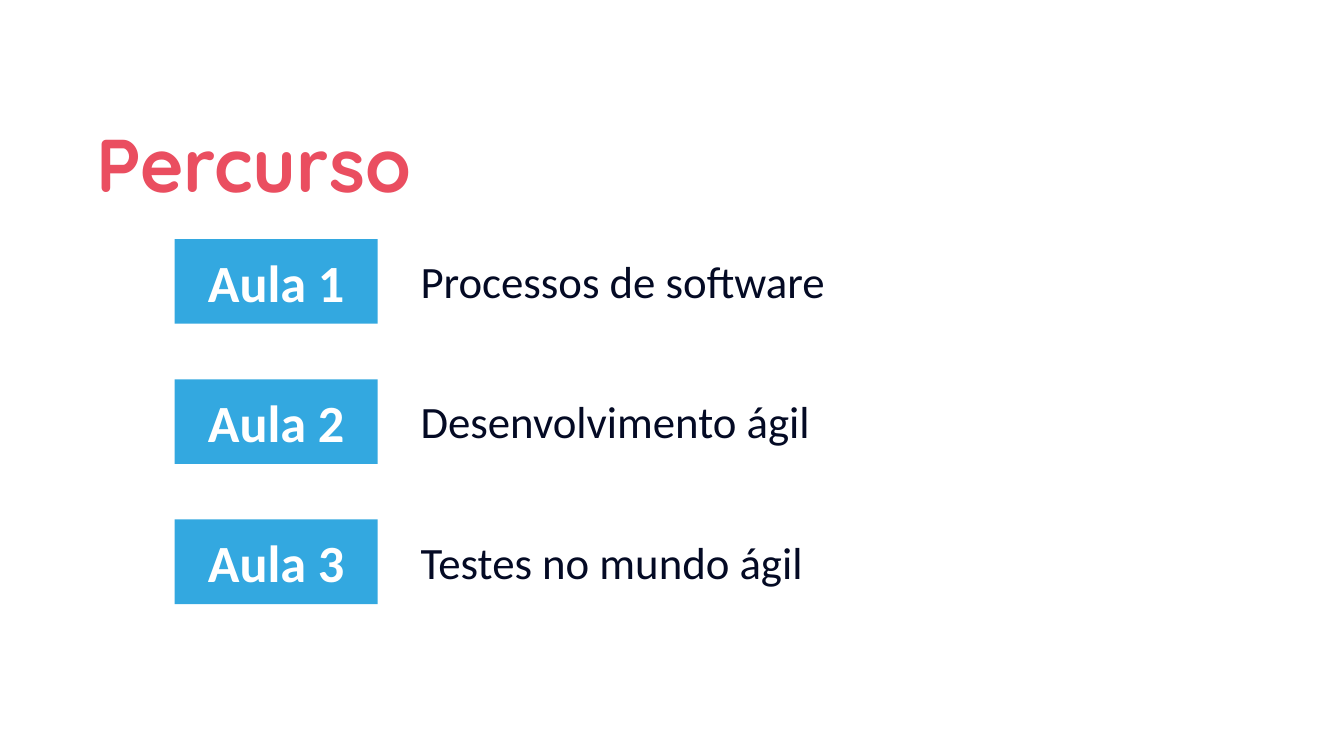
from pptx import Presentation
from pptx.dml.color import RGBColor
from pptx.enum.shapes import MSO_SHAPE
from pptx.enum.text import MSO_ANCHOR, PP_ALIGN
from pptx.util import Cm, Pt

RECTANGLE = MSO_SHAPE.RECTANGLE
TOP, MIDDLE = MSO_ANCHOR.TOP, MSO_ANCHOR.MIDDLE
LEFT, CENTER = PP_ALIGN.LEFT, PP_ALIGN.CENTER

COLORS = {"title": "EA4E60", "label": "33A8E0", "white": "FFFFFF", "body": "040A24"}
LESSONS = ["Processos de software", "Desenvolvimento ágil", "Testes no mundo ágil"]
FIRST_TOP, ROW_PITCH = 4.52, 2.65


def color(name):
    return RGBColor.from_string(COLORS[name])


def write_text(shape, text, *, size, fill, font="Calibri", bold=False, align=LEFT,
               anchor=MIDDLE, margin=0.25, line_spacing=1.0):
    frame = shape.text_frame
    frame.word_wrap = True
    frame.vertical_anchor = anchor
    frame.margin_left = frame.margin_right = Cm(0.25)
    frame.margin_top = frame.margin_bottom = Cm(margin)
    paragraph = frame.paragraphs[0]
    paragraph.alignment = align
    paragraph.line_spacing = line_spacing
    run = paragraph.add_run()
    run.text = text
    run.font.name = font
    run.font.size = Pt(size)
    run.font.bold = bold
    run.font.color.rgb = color(fill)


class CourseSlide:
    """Holds the current slide and draws its elements in the course style."""

    def __init__(self, slide):
        self.slide = slide
        self.title_style = {"size": 40, "fill": "title", "font": "Quicksand",
                            "bold": True, "line_spacing": 1.15}
        self.label_style = {"size": 28, "fill": "white", "bold": True, "align": CENTER}
        self.topic_style = {"size": 24, "fill": "body", "anchor": TOP, "margin": 0.13}

    def text_box(self, text, left, top, width, height, style):
        shape = self.slide.shapes.add_textbox(Cm(left), Cm(top), Cm(width), Cm(height))
        write_text(shape, text, **style)

    def title(self, text):
        self.text_box(text, 1.57, 1.78, 20.57, 2.34, self.title_style)

    def label(self, text, top):
        shape = self.slide.shapes.add_shape(RECTANGLE, Cm(3.3), Cm(top), Cm(3.84), Cm(1.6))
        shape.shadow.inherit = False
        shape.fill.solid()
        shape.fill.fore_color.rgb = color("label")
        shape.line.fill.background()
        write_text(shape, text, **self.label_style)

    def topic(self, text, top):
        self.text_box(text, 7.7, top, 15.29, 1.27, self.topic_style)


def main():
    presentation = Presentation()
    presentation.slide_width = Cm(25.4)
    presentation.slide_height = Cm(14.29)
    page = CourseSlide(presentation.slides.add_slide(presentation.slide_layouts[6]))
    page.title("Percurso")
    for index, lesson in enumerate(LESSONS):
        top = FIRST_TOP + index * ROW_PITCH
        page.label(f"Aula {index + 1}", top)
        page.topic(lesson, top + 0.15)
    presentation.save("out.pptx")


if __name__ == "__main__":
    main()
